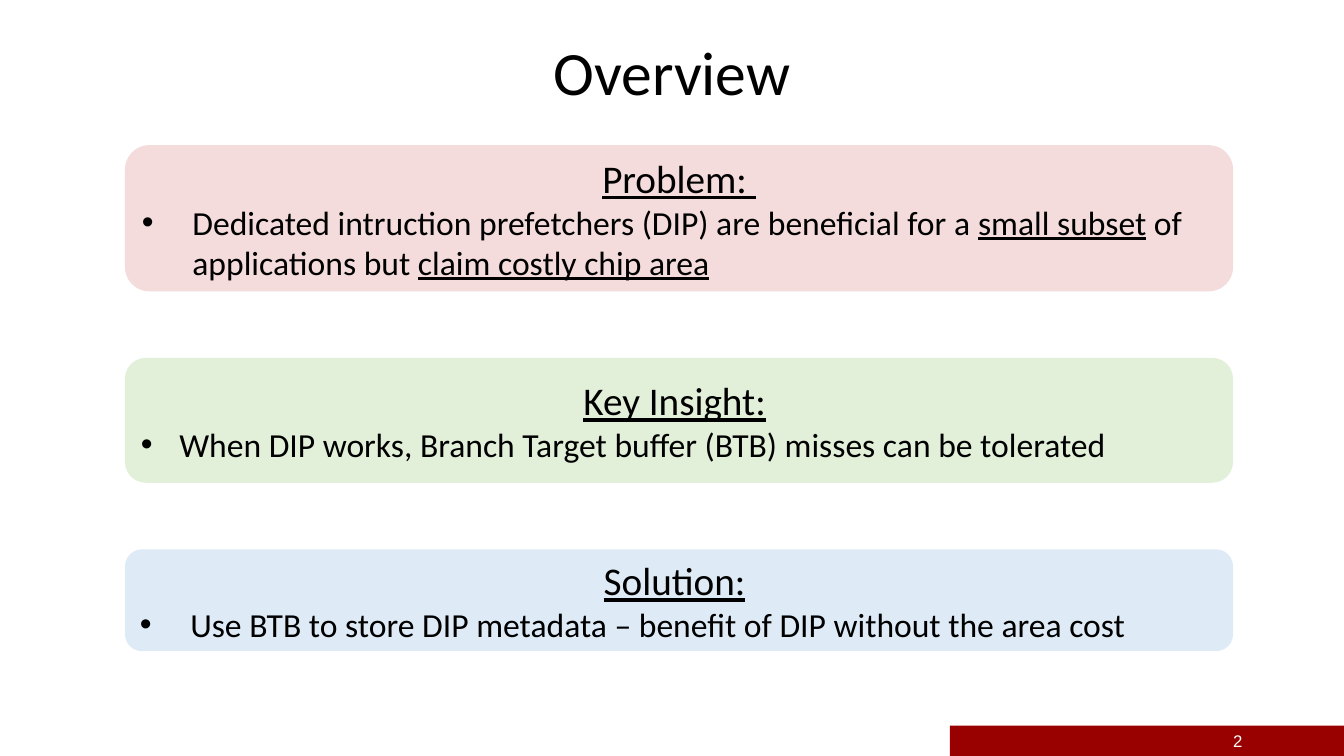
from dataclasses import dataclass

from lxml.etree import SubElement
from pptx import Presentation
from pptx.dml.color import RGBColor
from pptx.enum.shapes import MSO_SHAPE
from pptx.enum.text import MSO_ANCHOR, PP_ALIGN
from pptx.oxml.ns import qn
from pptx.util import Inches, Pt

WIDTH, HEIGHT = 13.33, 7.5
PANEL_LEFT, PANEL_WIDTH = 0.093 * WIDTH, 0.8245 * WIDTH
BAR_LEFT, BAR_TOP = 9.42, 0.96 * HEIGHT


@dataclass(frozen=True)
class Theme:
    body_font: str = "Calibri"
    number_font: str = "Arial"
    title_size: int = 44
    heading_size: int = 28
    body_size: int = 24
    number_size: int = 12
    ink: str = "000000"
    white: str = "FFFFFF"
    bar: str = "990000"
    problem: str = "F3DCDB"
    insight: str = "E2F0D9"
    solution: str = "DEEBF7"


THEME = Theme()

# top, height, fill, hanging indent, heading spans, bullet spans (text, underlined)
PANELS = [
    (1.44, 1.45, THEME.problem, 0.5,
     [("Problem: ", True)],
     [("Dedicated intruction prefetchers (DIP) are beneficial for a ", False),
      ("small subset", True),
      (" of applications but ", False),
      ("claim costly chip area", True)]),
    (3.55, 1.24, THEME.insight, 0.38,
     [("Key Insight:", True), (" ", False)],
     [("When DIP works, Branch Target buffer (BTB) misses can be tolerated", False)]),
    (5.45, 1.01, THEME.solution, 0.5,
     [("Solution:", True), (" ", False)],
     [("Use BTB to store DIP metadata – benefit of DIP without the area cost", False)]),
]


def apply(target, values):
    for name, value in values.items():
        setattr(target, name, value)


def place(shape, left, top, width, height):
    lengths = dict(left=left, top=top, width=width, height=height)
    apply(shape, {name: Inches(length) for name, length in lengths.items()})


def write(para, spans, size, align, font=THEME.body_font, color=THEME.ink):
    """Fill a paragraph with (text, underlined) spans."""
    para.alignment = align
    for text, underlined in spans:
        span = para.add_run()
        span.text = text
        apply(span.font, {"name": font, "size": Pt(size), "underline": underlined})
        span.font.color.rgb = RGBColor.from_string(color)


def add_bullet(para, indent):
    properties = para._p.get_or_add_pPr()
    properties.set("marL", str(Inches(indent)))
    properties.set("indent", str(-Inches(indent)))
    SubElement(properties, qn("a:buFont")).set("typeface", THEME.number_font)
    SubElement(properties, qn("a:buChar")).set("char", "•")


def add_block(page, preset, fill, left, top, width, height):
    block = page.shapes.add_shape(
        preset, Inches(left), Inches(top), Inches(width), Inches(height))
    block.shadow.inherit = False
    block.fill.solid()
    block.fill.fore_color.rgb = RGBColor.from_string(fill)
    block.line.fill.background()
    return block


def add_panel(page, top, height, fill, indent, heading, bullet):
    panel = add_block(page, MSO_SHAPE.ROUNDED_RECTANGLE, fill,
                      PANEL_LEFT, top, PANEL_WIDTH, height)
    frame = panel.text_frame
    apply(frame, {"word_wrap": True, "vertical_anchor": MSO_ANCHOR.MIDDLE})
    write(frame.paragraphs[0], heading, THEME.heading_size, PP_ALIGN.CENTER)
    para = frame.add_paragraph()
    add_bullet(para, indent)
    write(para, bullet, THEME.body_size, PP_ALIGN.LEFT)


def add_page_number(page, number):
    add_block(page, MSO_SHAPE.RECTANGLE, THEME.bar,
              BAR_LEFT, BAR_TOP, WIDTH - BAR_LEFT, HEIGHT - BAR_TOP)
    box = page.shapes.add_textbox(
        Inches(BAR_LEFT), Inches(BAR_TOP - 0.05), Inches(3), Inches(0.4))
    frame = box.text_frame
    apply(frame, {"word_wrap": True, "vertical_anchor": MSO_ANCHOR.MIDDLE})
    write(frame.paragraphs[0], [(number, False)], THEME.number_size,
          PP_ALIGN.RIGHT, THEME.number_font, THEME.white)


def set_title(page, text):
    title = page.shapes.title
    place(title, 0.92, 0.02, WIDTH - 2 * 0.92, 1.45)
    frame = title.text_frame
    apply(frame, {"word_wrap": True, "vertical_anchor": MSO_ANCHOR.MIDDLE})
    para = frame.paragraphs[0]
    para.line_spacing = 0.9
    write(para, [(text, False)], THEME.title_size, PP_ALIGN.CENTER)


def main():
    deck = Presentation()
    apply(deck, {"slide_width": Inches(WIDTH), "slide_height": Inches(HEIGHT)})
    page = deck.slides.add_slide(deck.slide_layouts.get_by_name("Title Only"))
    add_page_number(page, "2")
    set_title(page, "Overview")
    for panel in PANELS:
        add_panel(page, *panel)
    deck.save("out.pptx")


if __name__ == "__main__":
    main()
